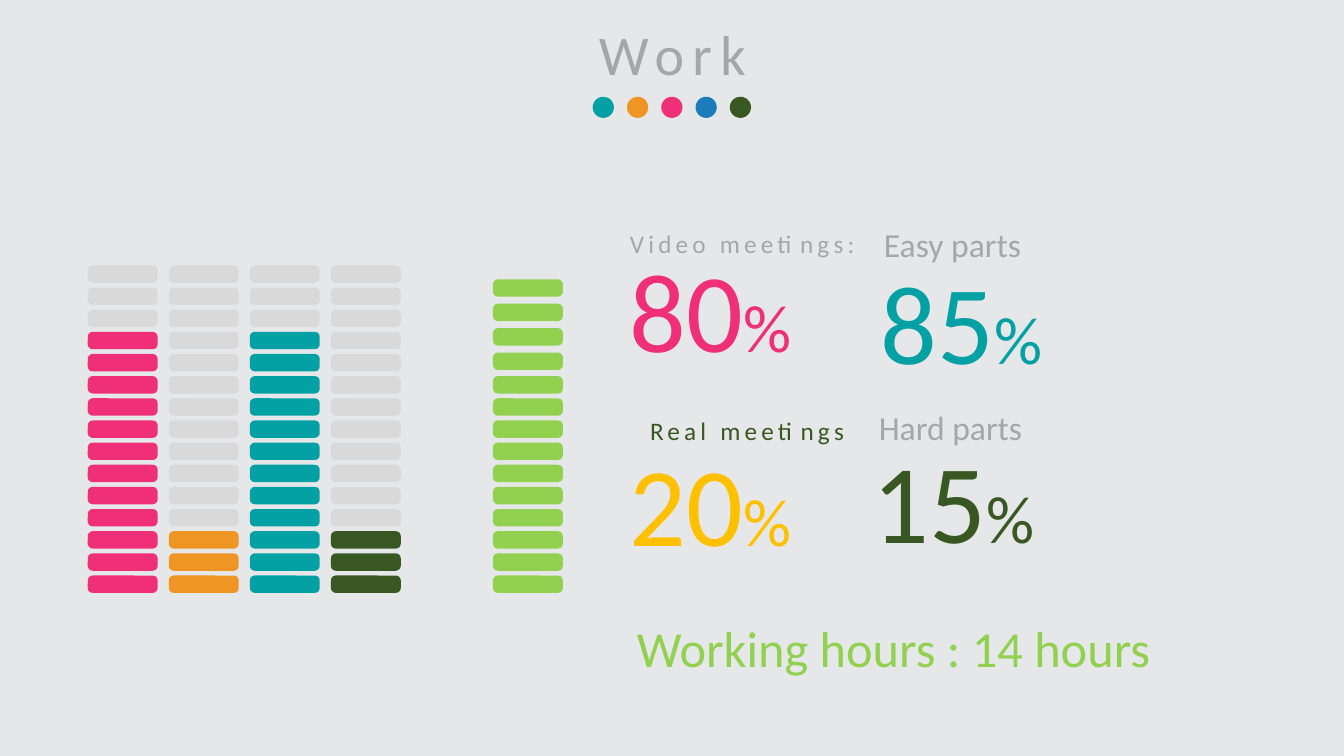
from pptx import Presentation, util as u
from pptx.dml.color import RGBColor
from pptx.enum import shapes, text

BACKGROUND = RGBColor(0xE6, 0xE7, 0xE9)
GREY = RGBColor(0xA6, 0xA6, 0xA6)
EMPTY = RGBColor(0xD9, 0xD9, 0xD9)
TEAL = RGBColor(0x03, 0xA1, 0xA4)
ORANGE = RGBColor(0xEE, 0x95, 0x24)
PINK = RGBColor(0xEF, 0x30, 0x78)
BLUE = RGBColor(0x1C, 0x7C, 0xBB)
DARK_GREEN = RGBColor(0x38, 0x57, 0x23)
LIME = RGBColor(0x92, 0xD0, 0x50)
AMBER = RGBColor(0xFF, 0xC0, 0x00)


class SlideBuilder:
    """Draws styled elements, placed in percent of the slide's width and height."""

    font = "Calibri"
    bar_left, bar_bottom = 6.53, 76.13
    bar_width, bar_height = 5.2, 2.3
    column_step, row_step = 6.03, 2.93

    def __init__(self, presentation):
        self.width = presentation.slide_width
        self.height = presentation.slide_height
        self.slide = presentation.slides.add_slide(presentation.slide_layouts[5])
        self.slide.background.fill.solid()
        self.slide.background.fill.fore_color.rgb = BACKGROUND

    def box(self, left, top, width, height):
        return (int(self.width * left / 100), int(self.height * top / 100),
                int(self.width * width / 100), int(self.height * height / 100))

    def format_run(self, run, size, color, spacing=0):
        run.font.name = self.font
        run.font.size = u.Pt(size)
        run.font.color.rgb = color
        if spacing:
            run.font._element.set("spc", str(spacing * 100))

    def title(self, wording, place, size, color, spacing):
        shape = self.slide.shapes.title
        shape.left, shape.top, shape.width, shape.height = self.box(*place)
        frame = shape.text_frame
        frame.text = wording
        frame.auto_size = text.MSO_AUTO_SIZE.NONE
        frame.vertical_anchor = text.MSO_ANCHOR.TOP
        frame.paragraphs[0].alignment = text.PP_ALIGN.CENTER
        self.format_run(frame.paragraphs[0].runs[0], size, color, spacing)

    def label(self, wording, place, size, color, spacing=0):
        frame = self.slide.shapes.add_textbox(*self.box(*place)).text_frame
        frame.word_wrap = True
        frame.text = wording
        paragraph = frame.paragraphs[0]
        self.format_run(paragraph.runs[0], size, color, spacing)
        return paragraph

    def percentage(self, number, left, top, color):
        paragraph = self.label(number, (left, top, 16.13, 19.33), 80, color)
        sign = paragraph.add_run()
        sign.text = "%"
        self.format_run(sign, 48, color)

    def shape(self, kind, place, color):
        shape = self.slide.shapes.add_shape(kind, *self.box(*place))
        shape.shadow.inherit = False
        shape.fill.solid()
        shape.fill.fore_color.rgb = color
        shape.line.fill.background()
        return shape

    def dots(self, colors):
        for index, color in enumerate(colors):
            self.shape(shapes.MSO_SHAPE.OVAL, (44.1 + 2.55 * index, 12.8, 1.58, 2.8), color)

    def bar(self, column, top, color):
        left = self.bar_left + column * self.column_step
        bar = self.shape(shapes.MSO_SHAPE.ROUNDED_RECTANGLE,
                         (left, top, self.bar_width, self.bar_height), color)
        bar.adjustments[0] = 0.28

    def bar_stack(self, column, filled, color, total=15):
        for row in range(total):
            self.bar(column, self.bar_bottom - row * self.row_step,
                     color if row < filled else EMPTY)


def main():
    presentation = Presentation()
    presentation.slide_width = u.Inches(13.33)
    presentation.slide_height = u.Inches(7.5)
    builder = SlideBuilder(presentation)

    builder.title("Work", (20.18, 1.87, 59.7, 10.27), 40, GREY, 6)
    builder.dots([TEAL, ORANGE, PINK, BLUE, DARK_GREEN])

    stacks = [(12, PINK), (3, ORANGE), (12, TEAL), (3, DARK_GREEN)]
    for column, (filled, color) in enumerate(stacks):
        builder.bar_stack(column, filled, color)
    builder.bar_stack(5, 10, LIME, total=10)
    for row in range(1, 5):
        builder.bar(5, 49.87 - row * 3.23, LIME)

    builder.label("Video meetings:", (46.13, 29.6, 18.53, 5.33), 18, GREY, 3)
    builder.label("Real meetings", (47.63, 54.27, 17.7, 5.33), 18, DARK_GREEN, 3)
    builder.label("Easy parts", (65.03, 28.93, 23.55, 6.67), 24, GREY)
    builder.label("Hard parts", (64.65, 53.2, 23.55, 6.67), 24, GREY)
    builder.label("Working hours : 14 hours", (46.65, 80.93, 39.75, 9.47), 36, LIME)

    builder.percentage("80", 46.13, 31.2, PINK)
    builder.percentage("20", 46.13, 56.8, AMBER)
    builder.percentage("85", 64.8, 32.8, TEAL)
    builder.percentage("15", 64.2, 56.4, DARK_GREEN)

    presentation.save("out.pptx")


if __name__ == "__main__":
    main()
